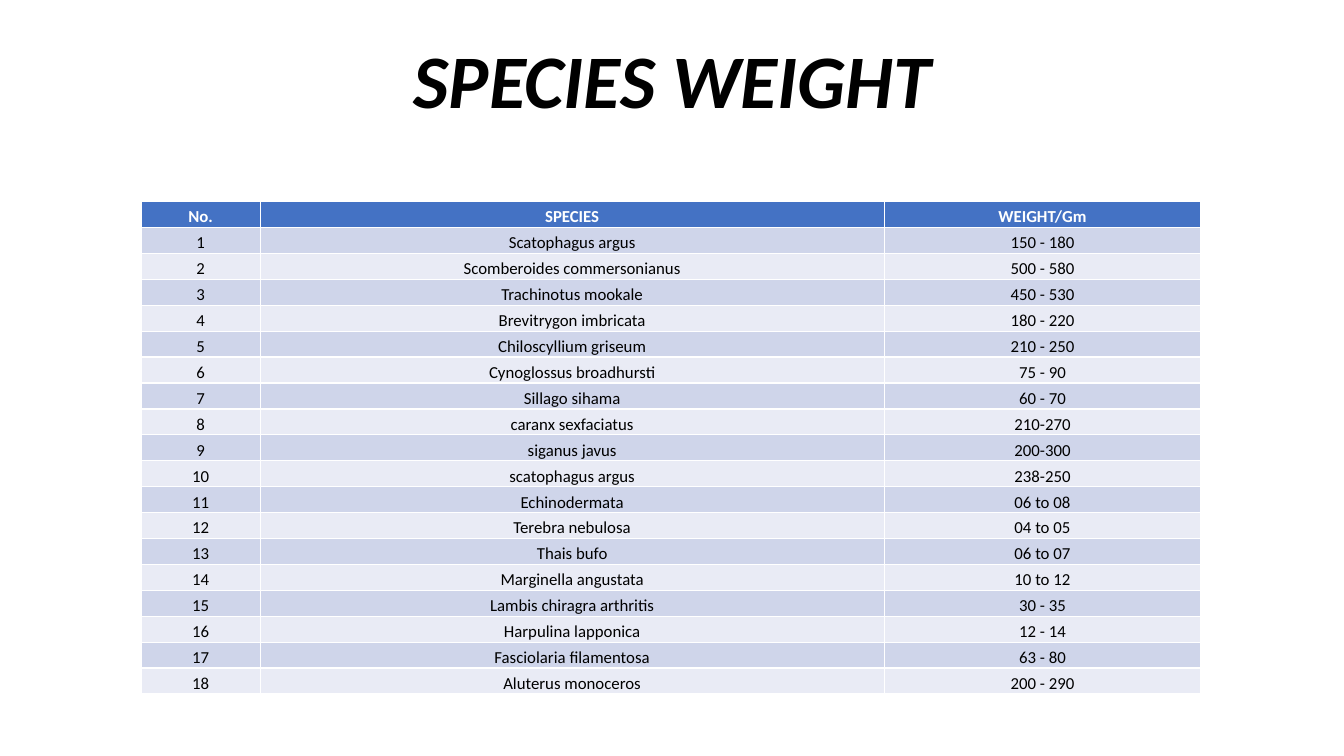
from pptx import Presentation
from pptx.dml.color import RGBColor
from pptx.enum.text import MSO_ANCHOR, PP_ALIGN
from pptx.util import Inches, Pt

COLORS = {
    "header": "4472C4",
    "odd": "CFD5EA",
    "even": "E9EBF5",
    "white": "FFFFFF",
    "black": "000000",
}
HEADINGS = ("No.", "SPECIES", "WEIGHT/Gm")
SPECIES_WEIGHTS = [
    ("Scatophagus argus", "150 - 180"),
    ("Scomberoides commersonianus", "500 - 580"),
    ("Trachinotus mookale", "450 - 530"),
    ("Brevitrygon imbricata", "180 - 220"),
    ("Chiloscyllium griseum", "210 - 250"),
    ("Cynoglossus broadhursti", "75 - 90"),
    ("Sillago sihama", "60 - 70"),
    ("caranx sexfaciatus", "210-270"),
    ("siganus javus", "200-300"),
    ("scatophagus argus", "238-250"),
    ("Echinodermata", "06 to 08"),
    ("Terebra nebulosa", "04 to 05"),
    ("Thais bufo", "06 to 07"),
    ("Marginella angustata", "10 to 12"),
    ("Lambis chiragra arthritis", "30 - 35"),
    ("Harpulina lapponica", "12 - 14"),
    ("Fasciolaria filamentosa", "63 - 80"),
    ("Aluterus monoceros", "200 - 290"),
]
COLUMN_WIDTHS = (1.18, 6.19, 3.14)
TABLE_HEIGHT = 4.89


def write_text(frame, text, size=12, color="black", bold=False, italic=False, spacing=1.0):
    para = frame.paragraphs[0]
    para.alignment = PP_ALIGN.CENTER
    para.line_spacing = spacing
    span = para.add_run()
    span.text = text
    span.font.name = "Calibri"
    span.font.size = Pt(size)
    span.font.bold = bold
    span.font.italic = italic
    span.font.color.rgb = RGBColor.from_string(COLORS[color])


deck = Presentation()
deck.slide_width = Inches(13.33)
deck.slide_height = Inches(7.5)
page = deck.slides.add_slide(deck.slide_layouts[5])

title = page.shapes.title
title.left, title.top = Inches(0.92), Inches(0.61)
title.width, title.height = Inches(11.5), Inches(1.24)
title.text_frame.vertical_anchor = MSO_ANCHOR.MIDDLE
title.text_frame.margin_bottom = Inches(0.85)
write_text(title.text_frame, "SPECIES WEIGHT", size=54, bold=True, italic=True, spacing=0.9)

rows = [HEADINGS]
for number, (species, weight) in enumerate(SPECIES_WEIGHTS, start=1):
    rows.append((str(number), species, weight))

table = page.shapes.add_table(
    len(rows), len(HEADINGS), Inches(1.4), Inches(2),
    Inches(sum(COLUMN_WIDTHS)), Inches(TABLE_HEIGHT),
).table
for column, width in zip(table.columns, COLUMN_WIDTHS):
    column.width = Inches(width)

for row_index, values in enumerate(rows):
    table.rows[row_index].height = Inches(TABLE_HEIGHT / len(rows))
    is_header = row_index == 0
    fill = "header" if is_header else ("odd" if row_index % 2 else "even")
    for column_index, value in enumerate(values):
        cell = table.cell(row_index, column_index)
        cell.fill.solid()
        cell.fill.fore_color.rgb = RGBColor.from_string(COLORS[fill])
        cell.vertical_anchor = MSO_ANCHOR.BOTTOM
        cell.margin_left = cell.margin_right = cell.margin_top = Inches(0.01)
        cell.margin_bottom = Inches(0)
        write_text(cell.text_frame, value, color="white" if is_header else "black", bold=is_header)

deck.save("out.pptx")
